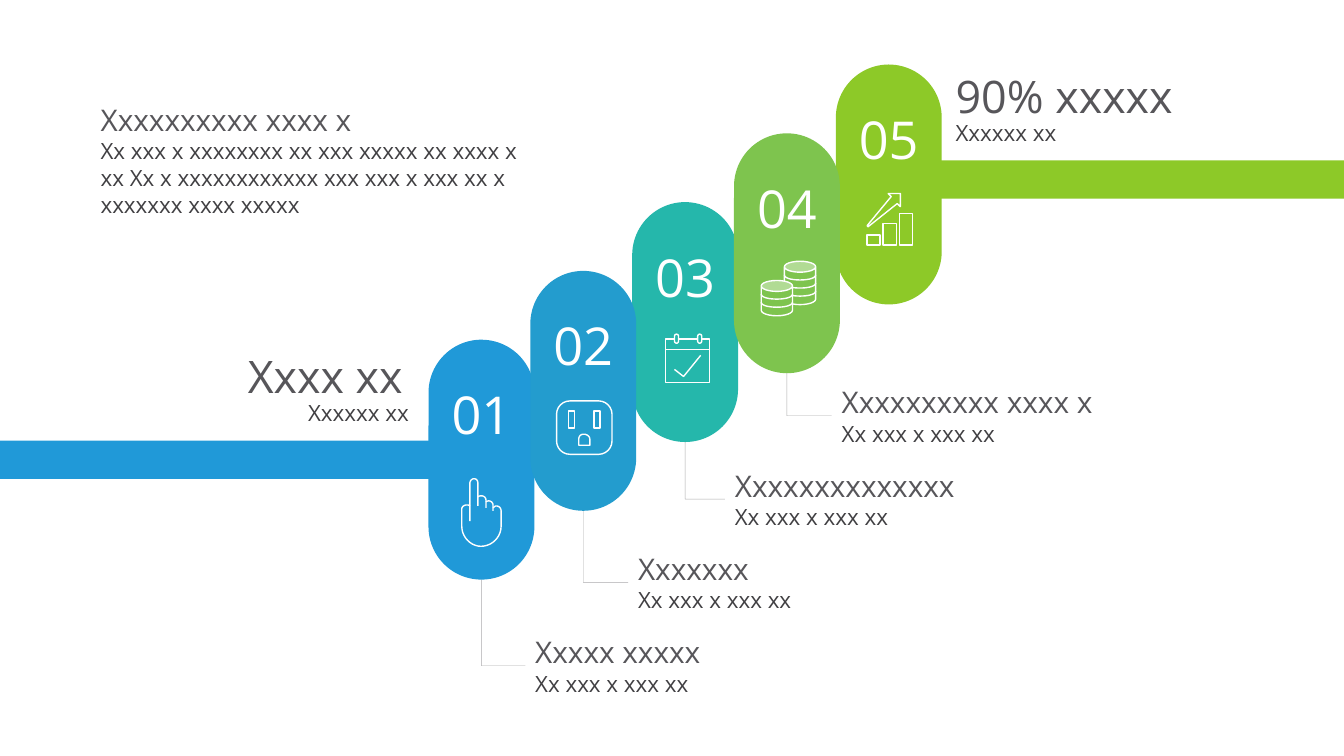
from lxml import etree
from pptx import Presentation
from pptx.dml.color import RGBColor
from pptx.enum.shapes import MSO_CONNECTOR, MSO_SHAPE
from pptx.enum.text import MSO_ANCHOR, PP_ALIGN
from pptx.oxml.ns import qn
from pptx.util import Inches, Pt

RECT, ROUND, CAN = MSO_SHAPE.RECTANGLE, MSO_SHAPE.ROUNDED_RECTANGLE, MSO_SHAPE.CAN
STRAIGHT, ELBOW = MSO_CONNECTOR.STRAIGHT, MSO_CONNECTOR.ELBOW
LEFT, CENTER, RIGHT = PP_ALIGN.LEFT, PP_ALIGN.CENTER, PP_ALIGN.RIGHT
TOP = MSO_ANCHOR.TOP

BLUE, GREEN = RGBColor(0x20, 0x99, 0xD8), RGBColor(0x8D, 0xC9, 0x28)
STEP_COLORS = [BLUE, RGBColor(0x23, 0x9C, 0xCE), RGBColor(0x25, 0xB7, 0xAB),
               RGBColor(0x7E, 0xC4, 0x4E), GREEN]
TITLE_GRAY, BODY_GRAY = RGBColor(0x57, 0x56, 0x5A), RGBColor(0x41, 0x40, 0x43)
WHITE, ICON_WHITE = RGBColor(0xFF, 0xFF, 0xFF), RGBColor(0xFE, 0xFE, 0xFE)
FONT = "Open Sans"
SLIDE_W, SLIDE_H = 13.33, 7.5
PILL_W, PILL_H = 1.05, 2.38
FIRST_LEFT, FIRST_TOP, LAST_TOP, STEP_X = 4.25, 3.37, 0.64, 1.01
STEP_Y = (FIRST_TOP - LAST_TOP) / 4
LABEL_H, LABEL_FIRST_TOP, LABEL_LAST_TOP = 0.73, 6.24, 3.76

# Hand outlines: a pair is a corner, six numbers are a cubic curve
HAND = [
    [(.41, 1.8), (.41, 1.43), (.41, 1.4, .43, 1.38, .45, 1.38),
     (.48, 1.38, .49, 1.4, .49, 1.43), (.49, 1.65)],
    [(.49, 1.56), (.5, 1.55, .51, 1.55, .53, 1.55),
     (.55, 1.55, .57, 1.57, .57, 1.59), (.57, 1.67)],
    [(.57, 1.61), (.58, 1.6, .59, 1.6, .6, 1.6),
     (.62, 1.6, .64, 1.62, .64, 1.64), (.64, 1.7)],
    [(.64, 1.67), (.65, 1.66, .66, 1.65, .67, 1.65),
     (.7, 1.65, .72, 1.67, .72, 1.7), (.72, 1.85),
     (.72, 1.96, .63, 2.05, .52, 2.05), (.42, 2.05, .33, 1.96, .33, 1.85),
     (.33, 1.68), (.33, 1.66, .35, 1.64, .38, 1.64),
     (.39, 1.64, .4, 1.64, .41, 1.65)],
]


def box(shapes, kind, x, y, w, h, fill=None, line=None):
    sp = shapes.add_shape(kind, Inches(x), Inches(y), Inches(w), Inches(h))
    sp.shadow.inherit = False
    paint(sp, fill, line)
    return sp


def paint(sp, fill, line):
    if fill is None:
        sp.fill.background()
    else:
        sp.fill.solid()
        sp.fill.fore_color.rgb = fill
    if line is None:
        sp.line.fill.background()
    else:
        sp.line.color.rgb = line
        sp.line.width = Pt(1)


def connect(shapes, kind, x1, y1, x2, y2, color, width):
    cx = shapes.add_connector(kind, Inches(x1), Inches(y1), Inches(x2), Inches(y2))
    cx.line.color.rgb = color
    cx.line.width = Pt(width)
    etree.SubElement(cx._element.spPr, qn("a:effectLst"))
    return cx


def flatten(path, steps=10):
    points = [path[0]]
    for part in path[1:]:
        if len(part) == 2:
            points.append(part)
            continue
        start, ends = points[-1], list(zip(part[::2], part[1::2]))
        for t in (n / steps for n in range(1, steps + 1)):
            weights = ((1 - t) ** 3, 3 * t * (1 - t) ** 2, 3 * t * t * (1 - t), t ** 3)
            points.append(tuple(sum(k * pt[axis] for k, pt in zip(weights, [start] + ends))
                                for axis in (0, 1)))
    return points


def outline(shapes, x, y, paths, close=False):
    contours = [[(Inches(x + px), Inches(y + py)) for px, py in flatten(path)]
                for path in paths]
    fb = shapes.build_freeform(*contours[0][0], scale=1.0)
    for n, contour in enumerate(contours):
        if n:
            fb.move_to(*contour[0])
        fb.add_line_segments(contour[1:], close=close)
    sp = fb.convert_to_shape()
    sp.shadow.inherit = False
    paint(sp, None, ICON_WHITE)


# Icons, each placed from the corner of its pill
def hand_icon(shapes, x, y, color):
    outline(shapes, x, y, HAND)


def socket_icon(shapes, x, y, color):
    plate = box(shapes, ROUND, x + .26, y + 1.29, .55, .53, None, ICON_WHITE)
    plate.adjustments[0] = 0.25
    for slot in (.38, .63):
        box(shapes, RECT, x + slot, y + 1.39, .06, .17, None, ICON_WHITE)
    outline(shapes, x, y, [[(.48, 1.73), (.48, 1.67), (.48, 1.64, .5, 1.62, .53, 1.62),
                            (.56, 1.62, .59, 1.64, .59, 1.67), (.59, 1.73)]], close=True)


def calendar_icon(shapes, x, y, color):
    box(shapes, RECT, x + .33, y + 1.36, .44, .43, None, ICON_WHITE)
    connect(shapes, STRAIGHT, x + .33, y + 1.46, x + .77, y + 1.46, ICON_WHITE, 1)
    for ring in (.42, .65):
        sp = box(shapes, ROUND, x + ring, y + 1.31, .04, .09, color, ICON_WHITE)
        sp.adjustments[0] = 0.5
    outline(shapes, x, y, [[(.42, 1.66), (.51, 1.73), (.68, 1.52)]])


def coins_icon(shapes, x, y, color):
    # The front stack covers part of the back one
    for left, top, height, rims in ((.5, 1.27, .43, 3), (.27, 1.46, .35, 2)):
        stack = box(shapes, CAN, x + left, y + top, .31, height, color, ICON_WHITE)
        stack.adjustments[0] = 0.35
        mid, right = left + .155, left + .31
        for n in range(1, rims + 1):
            rim = top + .055 + .08 * n
            low = rim + .05
            outline(shapes, x, y, [[(right, rim), (right, rim + .03, mid + .09, low, mid, low),
                                    (mid - .09, low, left, rim + .03, left, rim)]])


def growth_icon(shapes, x, y, color):
    for n, height in enumerate((.1, .21, .31)):
        box(shapes, RECT, x + .31 + .16 * n, y + 1.79 - height, .13, height, None, ICON_WHITE)
    outline(shapes, x, y, [[(.64, 1.28), (.52, 1.28), (.55, 1.31), (.31, 1.6),
                            (.32, 1.61), (.61, 1.38), (.64, 1.41)]], close=True)


ICONS = [hand_icon, socket_icon, calendar_icon, coins_icon, growth_icon]


def style(p, size, color, align):
    p.alignment = align
    p.font.name = FONT
    p.font.size = Pt(size)
    p.font.color.rgb = color


def text_block(shapes, x, y, w, h, title, body, size=21.3, align=LEFT, spacing=None):
    tf = shapes.add_textbox(Inches(x), Inches(y), Inches(w), Inches(h)).text_frame
    tf.word_wrap = True
    for p, text, points, color in ((tf.paragraphs[0], title, size, TITLE_GRAY),
                                   (tf.add_paragraph(), body, 16, BODY_GRAY)):
        p.text = text
        style(p, points, color, align)
        p.line_spacing = spacing


def pill_corner(i):
    return FIRST_LEFT + STEP_X * i, FIRST_TOP - STEP_Y * i


def pill(shapes, i):
    x, y = pill_corner(i)
    sp = box(shapes, ROUND, x, y, PILL_W, PILL_H, STEP_COLORS[i])
    sp.adjustments[0] = 0.5
    tf = sp.text_frame
    tf.vertical_anchor = TOP
    tf.margin_left = tf.margin_right = 0
    tf.margin_top = tf.margin_bottom = Inches(0.27)
    tf.text = f"{i + 1:02d}"
    style(tf.paragraphs[0], 37.3, WHITE, CENTER)
    ICONS[i](shapes, x, y, STEP_COLORS[i])


def step_label(shapes, i, x, w, title):
    y = LABEL_FIRST_TOP - (LABEL_FIRST_TOP - LABEL_LAST_TOP) / 3 * i
    text_block(shapes, x, y, w, LABEL_H, title, "Xx xxx x xxx xx")
    left, top = pill_corner(i)
    cx = connect(shapes, ELBOW, x, y + LABEL_H / 2, left + PILL_W / 2, top + PILL_H,
                 TITLE_GRAY, 0.25)
    cx._element.spPr.find(qn("a:prstGeom")).set("prst", "bentConnector2")
    rgb = cx._element.spPr.find(".//" + qn("a:srgbClr"))
    etree.SubElement(rgb, qn("a:alpha")).set("val", "50000")


def main():
    prs = Presentation()
    prs.slide_width, prs.slide_height = Inches(SLIDE_W), Inches(SLIDE_H)
    shapes = prs.slides.add_slide(prs.slide_layouts[6]).shapes

    # Bars and headings
    box(shapes, RECT, 0, 4.37, 4.26, 0.38, BLUE)
    box(shapes, RECT, 9.31, 1.59, SLIDE_W - 9.31, 0.38, GREEN)
    text_block(shapes, 9.38, 0.71, 3.9, 0.8, "90% xxxxx", "Xxxxxx xx", 32, spacing=0.87)
    text_block(shapes, 0.2, 3.48, 4.01, 0.8, "Xxxx xx ", "Xxxxxx xx ", 32, RIGHT, 0.87)
    text_block(shapes, 0.9, 0.96, 4.37, 1.27, "Xxxxxxxxxx xxxx x",
               "Xx xxx x xxxxxxxx xx xxx xxxxx xx xxxx x xx Xx x xxxxxxxxxxxx "
               "xxx xxx x xxx xx x xxxxxxx xxxx xxxxx")

    # Steps, with the second and fourth on top of their neighbours
    for i in (0, 2, 4, 3, 1):
        pill(shapes, i)
    for i, (x, w, title) in enumerate([(5.21, 2.22, "Xxxxx xxxxx"), (6.23, 2.22, "Xxxxxxx"),
                                       (7.19, 3.08, "Xxxxxxxxxxxxxx"),
                                       (8.25, 4.37, "Xxxxxxxxxx xxxx x")]):
        step_label(shapes, i, x, w, title)
    prs.save("out.pptx")


if __name__ == "__main__":
    main()
